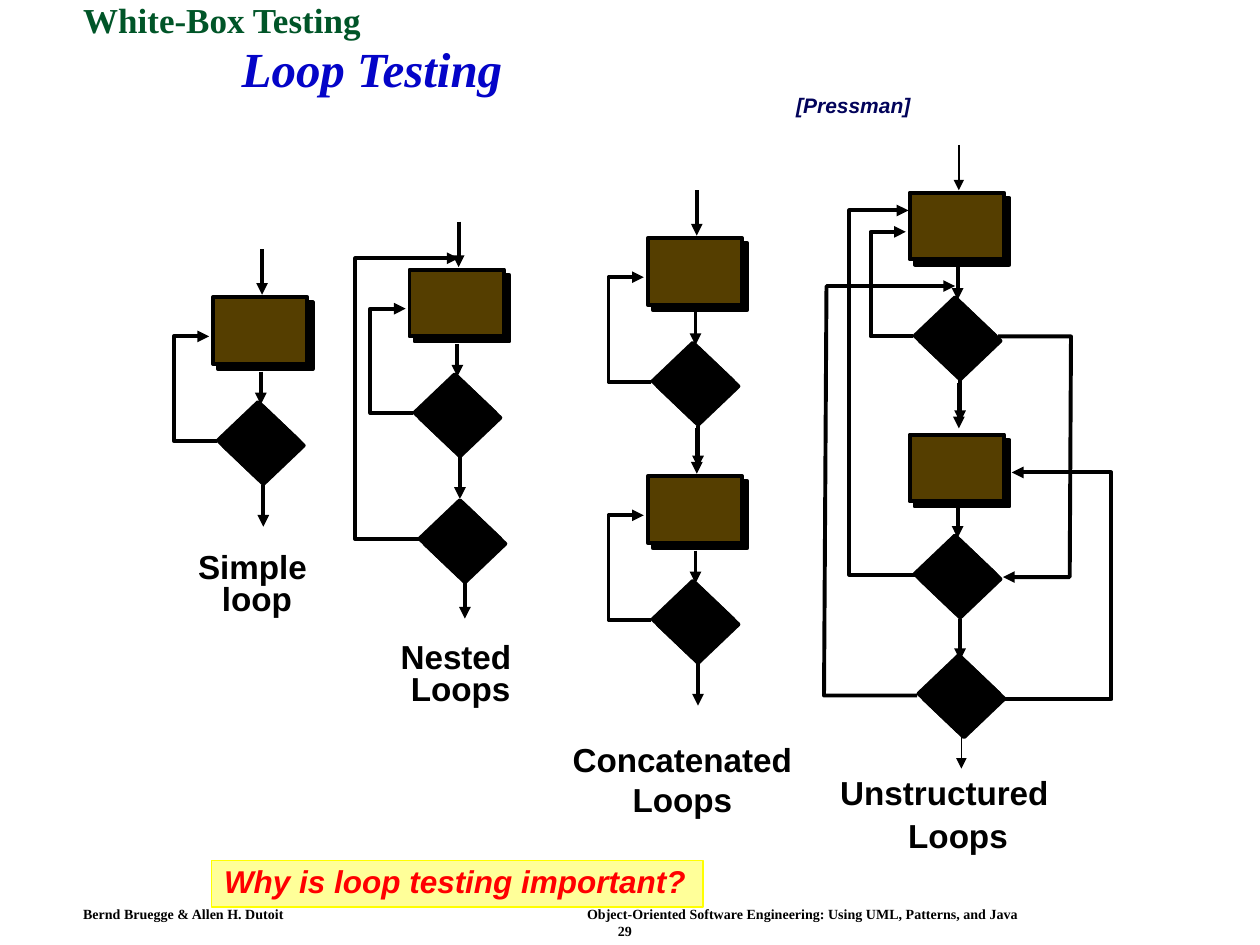
from dataclasses import dataclass
from typing import Optional

from lxml import etree
from pptx import Presentation
from pptx.dml.color import RGBColor
from pptx.enum.shapes import MSO_CONNECTOR, MSO_SHAPE
from pptx.enum.text import MSO_ANCHOR, PP_ALIGN
from pptx.oxml.ns import qn
from pptx.util import Emu, Pt

PX = 9144  # 100 px to the inch
LEFT, MID = PP_ALIGN.LEFT, PP_ALIGN.CENTER
TOP, MIDDLE = MSO_ANCHOR.TOP, MSO_ANCHOR.MIDDLE
RECT, DIAMOND = MSO_SHAPE.RECTANGLE, MSO_SHAPE.DIAMOND
STRAIGHT = MSO_CONNECTOR.STRAIGHT
Point = tuple[int, int]


@dataclass(frozen=True)
class Theme:
    ink: str = "000000"
    box: str = "553E00"
    title: str = "0404C8"
    topic: str = "005528"
    cite: str = "02035A"
    ask: str = "FF0000"
    note: str = "FFFF99"
    edge: str = "FFFF00"
    serif: str = "Times New Roman"
    sans: str = "Arial"
    title_pt: int = 28
    topic_pt: int = 20
    label_pt: int = 19
    ask_pt: int = 18
    cite_pt: int = 12
    foot_pt: int = 8
    thick: float = 2.25
    thin: float = 1


THEME = Theme()


@dataclass(frozen=True)
class Label:
    lines: tuple[str, ...]
    x: int
    y: int
    w: int
    h: int
    size: int = THEME.label_pt
    color: str = THEME.ink
    face: str = THEME.sans
    italic: bool = False
    align: PP_ALIGN = LEFT
    space: float = 1
    pad: Point = (10, 5)
    anchor: MSO_ANCHOR = TOP
    fill: Optional[str] = None
    tab: int = 0


@dataclass(frozen=True)
class Cell:
    """A box, the test below it and the arrows around them."""
    x: int
    y: int
    drop: int = 0
    entry: float = THEME.thick
    back: bool = True


CELLS = (
    Cell(169, 236),
    Cell(325, 214),
    Cell(514, 189),
    Cell(514, 378),
    Cell(722, 153, entry=THEME.thin),
    Cell(722, 342, drop=3, back=False),
)
TESTS = ((333, 397), (729, 520))
ARROWS = (
    ((369, 459), (369, 491), THEME.thick),
    ((763, 577), (763, 610), THEME.thin),
)
ROUTES = (
    ((333, 428), (282, 428), (282, 205), (364, 205)),
    ((731, 456), (674, 456), (674, 167), (721, 167)),
    ((792, 267), (850, 267), (849, 458), (796, 458)),
    ((794, 555), (882, 555), (882, 375), (803, 375)),
    ((728, 552), (654, 552), (656, 227), (758, 227)),
)
LABELS = (
    Label(("White-Box Testing",), 59, 0, 237, 36, THEME.topic_pt,
          THEME.topic, THEME.serif, space=0.9, pad=(7, 3)),
    Label(("Loop Testing",), 182, 37, 628, 39, THEME.title_pt, THEME.title,
          THEME.serif, True, space=0.9, anchor=MIDDLE),
    Label(("[Pressman]",), 622, 71, 111, 28, THEME.cite_pt, THEME.cite,
          italic=True, space=0.9),
    Label(("Simple ", "loop"), 147, 435, 114, 60, align=MID, space=0.8),
    Label(("Nested ", "Loops"), 308, 506, 115, 60, align=MID, space=0.8),
    Label(("Concatenated", "Loops"), 441, 582, 201, 73, align=MID),
    Label(("Unstructured",), 657, 608, 185, 41),
    Label(("Loops",), 711, 642, 99, 41),
    Label(("Why is loop testing important?",), 168, 683, 390, 37,
          THEME.ask_pt, THEME.ask, italic=True, space=0.9, fill=THEME.note),
)
FOOT = Label(
    ("Bernd Bruegge & Allen H. Dutoit\t"
     "Object-Oriented Software Engineering: Using UML, Patterns, and Java",
     "29"),
    58, 715, 876, 34, THEME.foot_pt, face=THEME.serif, pad=(8, 4), tab=400)


def rgb(code: str) -> RGBColor:
    return RGBColor.from_string(code)


def stroke(line, width: float, color: str = THEME.ink) -> None:
    line.color.rgb = rgb(color)
    line.width = Pt(width)


def add_head(shape) -> None:
    """Put an arrowhead where the line ends."""
    line = shape.element.spPr.find(qn("a:ln"))
    etree.SubElement(line, qn("a:tailEnd"), type="triangle")


def add_arrow(slide, start: Point, end: Point, width: float) -> None:
    line = slide.shapes.add_connector(
        STRAIGHT, *(Emu(n * PX) for n in start + end))
    stroke(line.line, width)
    add_head(line)
    etree.SubElement(line.element.spPr, qn("a:effectLst"))


def add_route(slide, points: tuple[Point, ...]) -> None:
    pen = slide.shapes.build_freeform(*points[0], scale=PX)
    pen.add_line_segments(points[1:], close=False)
    route = pen.convert_to_shape()
    route.fill.background()
    route.shadow.inherit = False
    stroke(route.line, THEME.thick)
    add_head(route)


def add_node(slide, kind, x: int, y: int, w: int, h: int, fill: str) -> None:
    node = slide.shapes.add_shape(kind, *(Emu(n * PX) for n in (x, y, w, h)))
    node.fill.solid()
    node.fill.fore_color.rgb = rgb(fill)
    stroke(node.line, THEME.thick)
    node.shadow.inherit = False
    effects = node.element.spPr.find(qn("a:effectLst"))
    cast = etree.SubElement(effects, qn("a:outerShdw"), dist=str(Pt(4.2)),
                            dir="2700000", algn="ctr", rotWithShape="0")
    etree.SubElement(cast, qn("a:srgbClr"), val=THEME.ink)


def add_test(slide, x: int, y: int) -> None:
    add_node(slide, DIAMOND, x, y, 64, 61, THEME.ink)


def add_cell(slide, cell: Cell) -> None:
    x, y = cell.x, cell.y
    add_node(slide, RECT, x, y + cell.drop, 75, 53, THEME.box)
    add_test(slide, x + 4, y + 83)
    add_arrow(slide, (x + 39, y - 38), (x + 39, y - 2), cell.entry)
    add_arrow(slide, (x + 38, y + 59), (x + 38, y + 85), THEME.thick)
    add_arrow(slide, (x + 40, y + 149), (x + 40, y + 182), THEME.thick)
    if cell.back:
        add_route(slide, ((x + 3, y + 114), (x - 31, y + 114),
                          (x - 31, y + 31), (x - 3, y + 31)))


def add_label(slide, label: Label) -> None:
    box = slide.shapes.add_textbox(
        *(Emu(n * PX) for n in (label.x, label.y, label.w, label.h)))
    if label.fill:
        box.fill.solid()
        box.fill.fore_color.rgb = rgb(label.fill)
        stroke(box.line, THEME.thin, THEME.edge)
    frame = box.text_frame
    frame.word_wrap = label.anchor == MIDDLE or label.tab > 0
    frame.vertical_anchor = label.anchor
    frame.margin_left = frame.margin_right = Emu(label.pad[0] * PX)
    frame.margin_top = frame.margin_bottom = Emu(label.pad[1] * PX)
    frame.text = "\n".join(label.lines)
    for para in frame.paragraphs:
        para.alignment = label.align
        para.line_spacing = label.space
        if label.tab and "\t" in para.text:
            tabs = etree.SubElement(para._p.get_or_add_pPr(), qn("a:tabLst"))
            etree.SubElement(tabs, qn("a:tab"), pos=str(label.tab * PX), algn="l")
        elif label.tab:
            para.alignment = MID
        font = para.font
        font.name, font.size = label.face, Pt(label.size)
        font.bold, font.italic = True, label.italic
        font.color.rgb = rgb(label.color)


def main() -> None:
    deck = Presentation()
    deck.slide_width, deck.slide_height = Emu(1000 * PX), Emu(750 * PX)
    slide = deck.slides.add_slide(deck.slide_layouts[6])
    add_label(slide, FOOT)
    for cell in CELLS:
        add_cell(slide, cell)
    for spot in TESTS:
        add_test(slide, *spot)
    for arrow in ARROWS:
        add_arrow(slide, *arrow)
    for route in ROUTES:
        add_route(slide, route)
    for label in LABELS:
        add_label(slide, label)
    deck.save("out.pptx")


if __name__ == "__main__":
    main()
